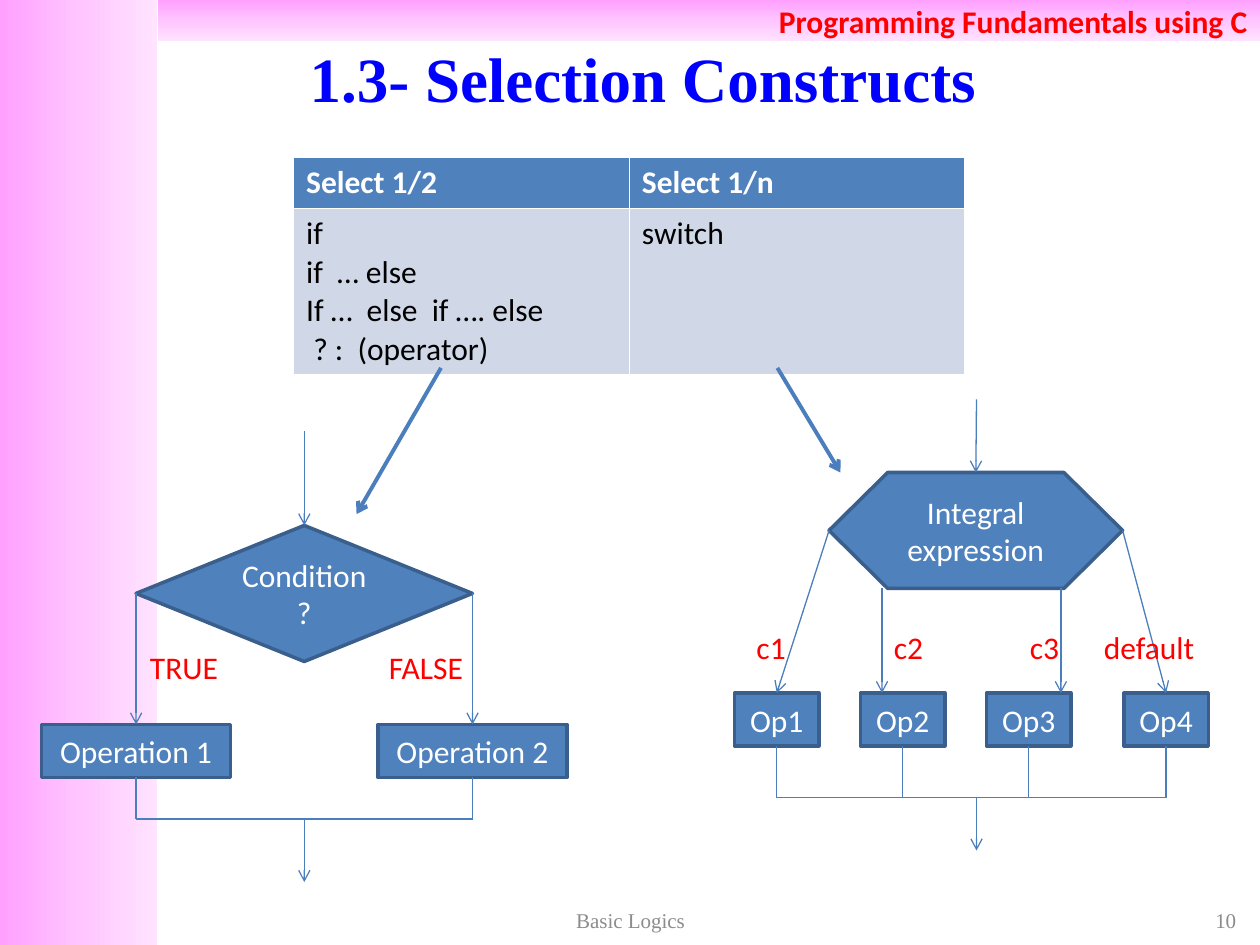
import copy

import pptx
import pptx.dml.color
import pptx.enum.shapes
import pptx.enum.text
import pptx.oxml.ns
import pptx.util
from lxml import etree

Inches = pptx.util.Inches
Pt = pptx.util.Pt
RGBColor = pptx.dml.color.RGBColor
SHAPE = pptx.enum.shapes.MSO_SHAPE
ALIGN = pptx.enum.text.PP_ALIGN
MIDDLE = pptx.enum.text.MSO_ANCHOR.MIDDLE
qn = pptx.oxml.ns.qn

WHITE = RGBColor(0xFF, 0xFF, 0xFF)
BLACK = RGBColor(0, 0, 0)
RED = RGBColor(0xFF, 0, 0)
TITLE_BLUE = RGBColor(0, 0, 0xFF)
GREY = RGBColor(0x8C, 0x8C, 0x8C)
BLUE = RGBColor(0x4F, 0x81, 0xBD)
OUTLINE = RGBColor(0x3A, 0x5F, 0x8C)
LINE_BLUE = RGBColor(0x4B, 0x7E, 0xBC)
PALE_BLUE = RGBColor(0xD0, 0xD8, 0xE8)
PINKS = [RGBColor(0xFF, 0xA0, 0xFF), RGBColor(0xFF, 0xC5, 0xFF), RGBColor(0xFF, 0xE3, 0xFF)]

TOP, LEFT, BOTTOM, RIGHT = range(4)
BOX_HEIGHT = 0.42


def write_text(frame, text, size=18, color=WHITE, font="Calibri", bold=False, align=ALIGN.CENTER):
    frame.text = text
    frame.word_wrap = True
    frame.vertical_anchor = MIDDLE
    for paragraph in frame.paragraphs:
        paragraph.alignment = align
        paragraph.font.size = Pt(size)
        paragraph.font.name = font
        paragraph.font.bold = bold
        paragraph.font.color.rgb = color


def add_label(shapes, text, left, top, width, height=BOX_HEIGHT, **style):
    label = shapes.add_textbox(Inches(left), Inches(top), Inches(width), Inches(height))
    write_text(label.text_frame, text, **style)


def add_node(shapes, kind, text, left, top, width, height=BOX_HEIGHT):
    node = shapes.add_shape(kind, Inches(left), Inches(top), Inches(width), Inches(height))
    node.shadow.inherit = False
    node.fill.solid()
    node.fill.fore_color.rgb = BLUE
    node.line.color.rgb = OUTLINE
    node.line.width = Pt(2)
    write_text(node.text_frame, text)
    return node


def add_line(shapes, start, end, begin=None, finish=None, arrow=True, width=0.75):
    """Draw a straight line; begin and finish are (shape, side) pairs to join."""
    line = shapes.add_connector(pptx.enum.shapes.MSO_CONNECTOR.STRAIGHT,
                                *(Inches(value) for value in (*start, *end)))
    if begin:
        line.begin_connect(*begin)
    if finish:
        line.end_connect(*finish)
    line.line.color.rgb = LINE_BLUE
    line.line.width = Pt(width)
    if arrow:
        etree.SubElement(line.line._get_or_add_ln(), qn("a:tailEnd"), type="arrow")
    etree.SubElement(line._element.spPr, qn("a:effectLst"))


def add_band(slide, left, top, width, height, angle):
    """Add a borderless pink gradient band."""
    band = slide.shapes.add_shape(SHAPE.RECTANGLE, Inches(left), Inches(top),
                                  Inches(width), Inches(height))
    band.shadow.inherit = False
    band.line.fill.background()
    band.fill.gradient()
    band.fill.gradient_angle = angle
    stop_list = band._element.spPr.find(".//" + qn("a:gsLst"))
    stop_list.insert(1, copy.deepcopy(stop_list[0]))
    for index, (stop, color) in enumerate(zip(band.fill.gradient_stops, PINKS)):
        stop.position = index / 2
        stop.color.rgb = color
    return band


def add_background(slide, width, height):
    side, header = 1.25, 0.33
    add_band(slide, 0, 0, side, height, 0)
    banner = add_band(slide, side, 0, width - side, header, 270)
    write_text(banner.text_frame, "Programming Fundamentals using C",
               color=RED, bold=True, align=ALIGN.RIGHT)


def add_title(slide, left, top, width, height):
    title = slide.shapes.title
    title.left, title.top = Inches(left), Inches(top)
    title.width, title.height = Inches(width), Inches(height)
    write_text(title.text_frame, "1.3- Selection Constructs ", 36, TITLE_BLUE,
               "Times New Roman", True)


def add_construct_table(slide, left, top, width):
    rows = [("Select 1/2", "Select 1/n"),
            ("if\nif  … else\nIf …  else  if …. else\n ? :  (operator)", "switch")]
    heights = [0.4, 1.3]
    table = slide.shapes.add_table(2, 2, Inches(left), Inches(top),
                                   Inches(width), Inches(sum(heights))).table
    styles = [(BLUE, WHITE, True), (PALE_BLUE, BLACK, False)]
    for row, height, texts, (fill, color, bold) in zip(table.rows, heights, rows, styles):
        row.height = Inches(height)
        for cell, text in zip(row.cells, texts):
            cell.fill.solid()
            cell.fill.fore_color.rgb = fill
            cell.text = text
            for paragraph in cell.text_frame.paragraphs:
                paragraph.font.size = Pt(18)
                paragraph.font.name = "Calibri"
                paragraph.font.bold = bold
                paragraph.font.color.rgb = color


def add_merge(shapes, nodes, centers, bottom, merge_y, exit_x, exit_y):
    """Gather the branches on one horizontal line and leave it with an arrow."""
    for node, x in zip(nodes, centers):
        add_line(shapes, (x, bottom), (x, merge_y), begin=(node, BOTTOM), arrow=False)
    add_line(shapes, (centers[0], merge_y), (centers[-1], merge_y), arrow=False)
    add_line(shapes, (exit_x, merge_y), (exit_x, exit_y))


def add_if_flowchart(slide, left, top, width, height):
    shapes = slide.shapes.add_group_shape().shapes
    box_width = 1.5
    centers = [left + box_width / 2, left + width - box_width / 2]
    middle = left + width / 2
    box_top = top + 2.33
    condition = add_node(shapes, SHAPE.DIAMOND, "Condition ?", centers[0], top + 0.75,
                         centers[1] - centers[0], 1.08)
    add_line(shapes, (middle, top), (middle, top + 0.75), finish=(condition, TOP))
    operations = []
    for number, (x, side, answer) in enumerate(zip(centers, (LEFT, RIGHT), ("TRUE", "FALSE")), 1):
        operation = add_node(shapes, SHAPE.RECTANGLE, f"Operation {number}",
                             x - box_width / 2, box_top, box_width)
        operations.append(operation)
        add_line(shapes, (x, top + 1.29), (x, box_top), (condition, side), (operation, TOP))
        add_label(shapes, answer, x - 0.08 if side == LEFT else x - 0.83,
                  top + 1.66, 0.92, color=RED)
    add_merge(shapes, operations, centers, box_top + BOX_HEIGHT, top + 3.08, middle, top + height)


def add_switch_flowchart(slide, left, top, width, height):
    shapes = slide.shapes.add_group_shape().shapes
    box_width = 0.67
    centers = [left + offset + box_width / 2 for offset in (0, 1, 2, width - box_width)]
    middle = left + 1.92
    box_top = top + 2.33
    expression = add_node(shapes, SHAPE.FLOWCHART_PREPARATION, "Integral\nexpression",
                          left + 0.75, top + 0.58, 2.33, 0.92)
    add_line(shapes, (middle, top), (middle, top + 0.58), finish=(expression, TOP))
    boxes = [add_node(shapes, SHAPE.RECTANGLE, f"Op{number}", x - box_width / 2, box_top, box_width)
             for number, x in enumerate(centers, 1)]
    for box, x, side in ((boxes[0], centers[0], LEFT), (boxes[3], centers[3], RIGHT)):
        add_line(shapes, (middle, top + 1.04), (x, box_top), (expression, side), (box, TOP))
    for x in (left + 1.17, left + 2.59):
        add_line(shapes, (x, top + 1.5), (x, box_top))
    add_merge(shapes, boxes, centers, box_top + BOX_HEIGHT, top + 3.16, middle, top + height)
    cases = [("c1", 0, 0.58), ("c2", 1.09, 0.58), ("c3", 2.17, 0.58), ("default", 2.75, 1.08)]
    for case, offset, case_width in cases:
        add_label(shapes, case, left + offset, top + 1.75, case_width, color=RED)


def add_footer(slide, top, height):
    style = {"size": 12, "color": GREY, "font": "Times New Roman"}
    add_label(slide.shapes, "10", 7.58, top, 2.33, height, align=ALIGN.RIGHT, **style)
    add_label(slide.shapes, "Basic Logics", 3.42, top, 3.17, height, **style)


def main():
    presentation = pptx.Presentation()
    presentation.slide_width, presentation.slide_height = Inches(10), Inches(7.5)
    slide = presentation.slides.add_slide(presentation.slide_layouts[5])
    add_background(slide, 10, 7.5)
    add_title(slide, 0.83, 0.3, 8.67, 0.62)
    add_construct_table(slide, 2.33, 1.25, 5.33)
    add_if_flowchart(slide, 0.33, 3.42, 4.17, 3.58)
    add_switch_flowchart(slide, 5.83, 3.17, 3.76, 3.58)
    add_line(slide.shapes, (3.5, 2.92), (2.83, 4.08), width=2.25)
    add_line(slide.shapes, (6.17, 2.92), (6.67, 3.75), width=2.25)
    add_footer(slide, 7.17, 0.27)
    presentation.save("out.pptx")


if __name__ == "__main__":
    main()
